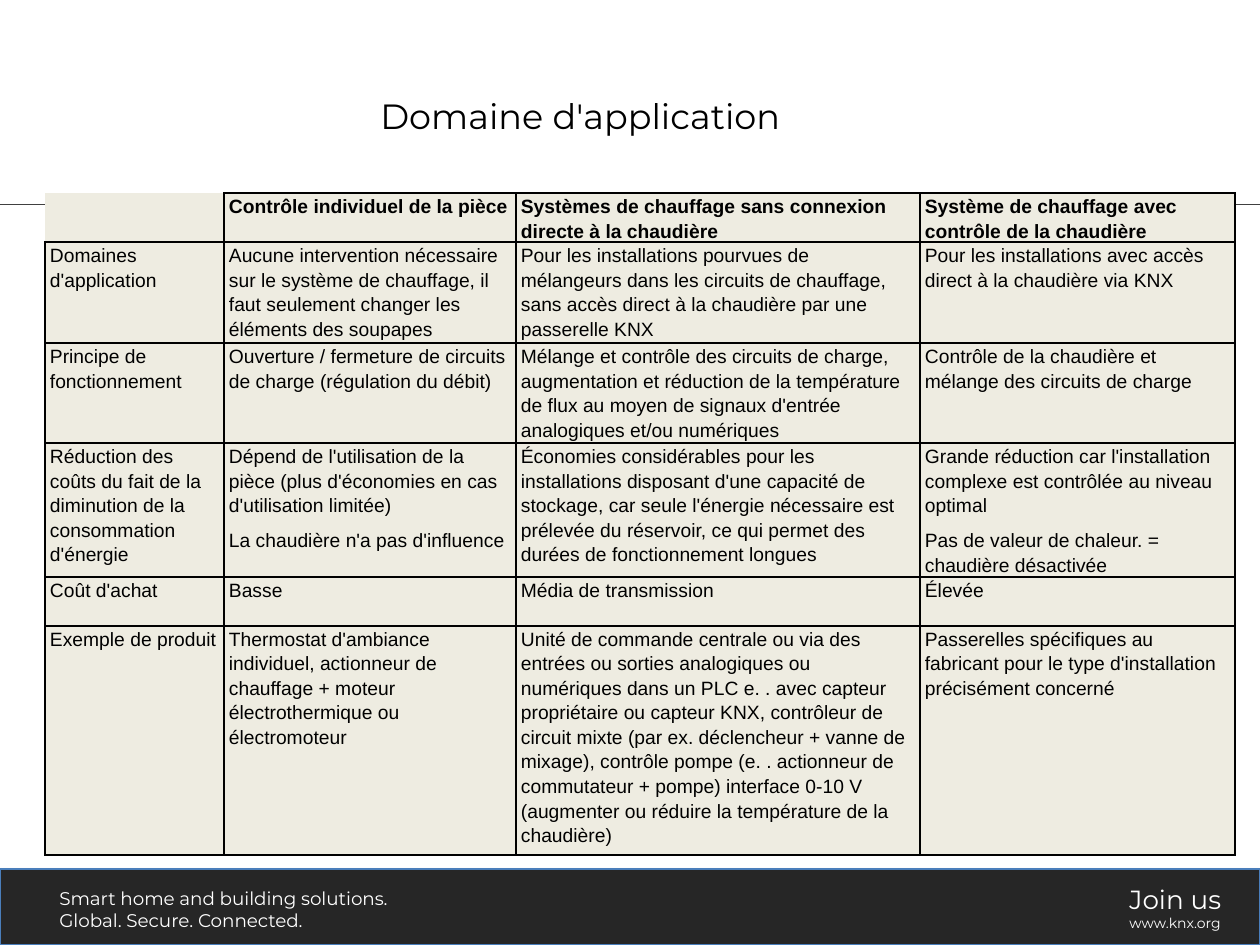
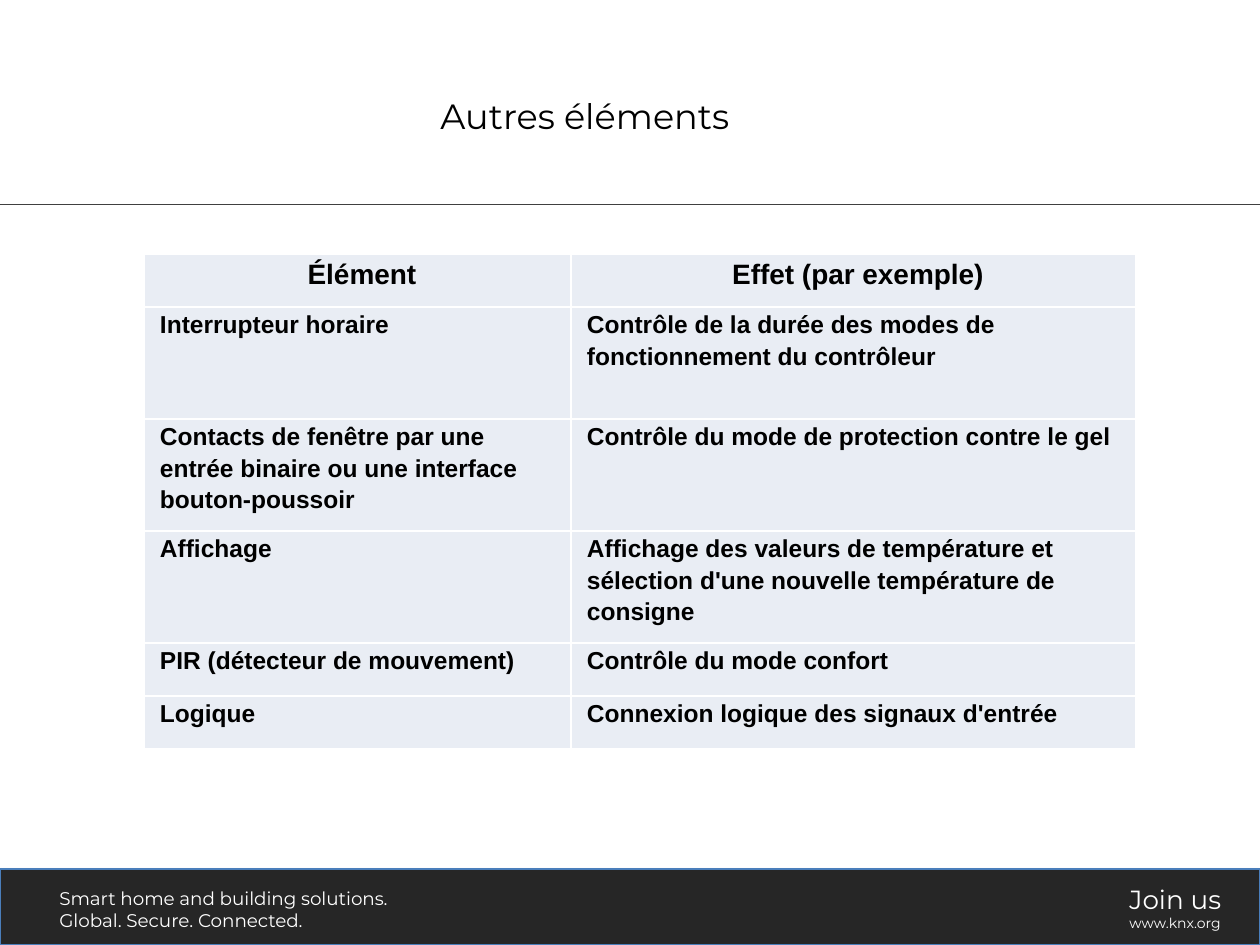
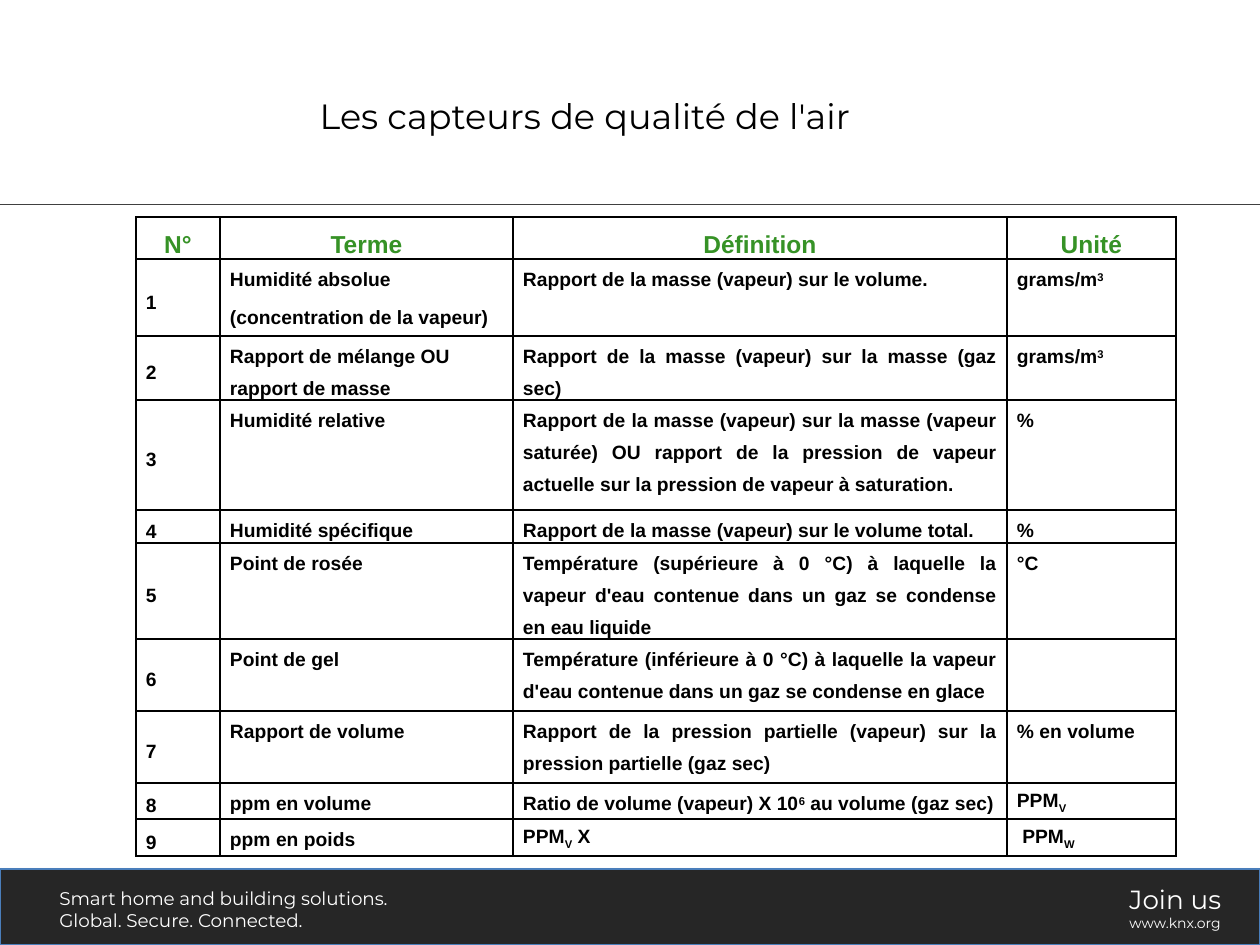
from dataclasses import dataclass
from typing import NamedTuple, Union

import pptx
import pptx.dml.color
import pptx.enum.shapes
import pptx.enum.text
import pptx.oxml
import pptx.oxml.ns
import pptx.util
from lxml import etree

RGBColor = pptx.dml.color.RGBColor
Align = pptx.enum.text.PP_ALIGN
Anchor = pptx.enum.text.MSO_ANCHOR
Pt = pptx.util.Pt
qn = pptx.oxml.ns.qn

PX_PER_INCH = 126
SLIDE_W, SLIDE_H = 1260, 945
BAND_TOP = 869
RULE_Y = 204

BLACK = RGBColor(0x00, 0x00, 0x00)
WHITE = RGBColor(0xFF, 0xFF, 0xFF)
CHARCOAL = RGBColor(0x26, 0x26, 0x26)
RULE_GREY = RGBColor(0x40, 0x40, 0x40)
BAND_EDGE = RGBColor(0x4A, 0x7E, 0xBB)
SHADOW_GREY = RGBColor(0x80, 0x80, 0x80)
SAND = RGBColor(0xEE, 0xEC, 0xE1)
PALE_BLUE = RGBColor(0xE9, 0xED, 0xF4)
GREEN = RGBColor(0x36, 0x92, 0x26)

TITLE_FONT = "Montserrat"
TABLE_FONT = "Arial"


class Script(NamedTuple):
    text: str
    baseline: int


class TextStyle(NamedTuple):
    size: float
    bold: bool = False
    color: RGBColor = BLACK
    font: str = TABLE_FONT


class FooterNote(NamedTuple):
    x: int
    y: int
    w: int
    h: int
    lines: tuple[str, ...]
    sizes: tuple[float, ...]


Content = Union[str, tuple[Union[str, Script], ...]]


@dataclass
class TableSlide:
    title: str
    x: int
    y: int
    cols: list[int]
    heights: list[int]
    rows: list[list[Content]]
    header: TextStyle
    body: TextStyle
    header_align: Align
    body_aligns: list[Align]
    header_pitch: float
    body_pitch: float
    gap: int
    margin_left: int
    margin_right: int
    border: RGBColor
    fill: Union[RGBColor, None] = None
    middle_first_col: bool = False
    open_corner: bool = False


CUBED = Script("3", 30000)
SIXTH = Script("6", 30000)
SUB_V = Script("V", -25000)
SUB_W = Script("W", -25000)

FOOTER_NOTES = [
    FooterNote(47, 881, 369, 57,
               ("Smart home and building solutions.", "Global. Secure. Connected."), (10.5, 10.5)),
    FooterNote(1117, 877, 119, 64, ("Join us", "www.knx.org"), (15, 8)),
]

SLIDES = [
    TableSlide(
        title="Domaine d'application ",
        x=45, y=193,
        cols=[179, 292, 404, 315],
        heights=[49, 101, 100, 134, 49, 229],
        rows=[
            ["", "Contrôle individuel de la pièce",
             "Systèmes de chauffage sans connexion directe à la chaudière",
             "Système de chauffage avec contrôle de la chaudière"],
            ["Domaines d'application",
             "Aucune intervention nécessaire sur le système de chauffage, il faut seulement "
             "changer les éléments des soupapes",
             "Pour les installations pourvues de mélangeurs dans les circuits de chauffage, "
             "sans accès direct à la chaudière par une passerelle KNX",
             "Pour les installations avec accès direct à la chaudière via KNX"],
            ["Principe de fonctionnement",
             "Ouverture / fermeture de circuits de charge (régulation du débit)",
             "Mélange et contrôle des circuits de charge, augmentation et réduction de la "
             "température de flux au moyen de signaux d'entrée analogiques et/ou numériques",
             "Contrôle de la chaudière et mélange des circuits de charge"],
            ["Réduction des coûts du fait de la diminution de la consommation d'énergie",
             "Dépend de l'utilisation de la pièce (plus d'économies en cas d'utilisation limitée)\n"
             "La chaudière n'a pas d'influence",
             "Économies considérables pour les installations disposant d'une capacité de stockage, "
             "car seule l'énergie nécessaire est prélevée du réservoir, ce qui permet des durées "
             "de fonctionnement longues",
             "Grande réduction car l'installation complexe est contrôlée au niveau optimal\n"
             "Pas de valeur de chaleur. = chaudière désactivée"],
            ["Coût d'achat", "Basse", "Média de transmission", "Élevée"],
            ["Exemple de produit",
             "Thermostat d'ambiance individuel, actionneur de chauffage + moteur "
             "électrothermique ou électromoteur",
             "Unité de commande centrale ou via des entrées ou sorties analogiques ou numériques "
             "dans un PLC e. . avec capteur propriétaire ou capteur KNX, contrôleur de circuit "
             "mixte (par ex. déclencheur + vanne de mixage), contrôle pompe (e. . actionneur de "
             "commutateur + pompe) interface 0-10 V (augmenter ou réduire la température de la "
             "chaudière)",
             "Passerelles spécifiques au fabricant pour le type d'installation précisément concerné"],
        ],
        header=TextStyle(11, bold=True),
        body=TextStyle(11),
        header_align=Align.LEFT,
        body_aligns=[Align.LEFT] * 4,
        header_pitch=14, body_pitch=14, gap=6,
        margin_left=5, margin_right=5,
        border=BLACK, fill=SAND, open_corner=True,
    ),
    TableSlide(
        title="Autres éléments",
        x=144, y=254,
        cols=[427, 565],
        heights=[53, 112, 112, 112, 53, 53],
        rows=[
            ["Élément", "Effet (par exemple)"],
            ["Interrupteur horaire",
             "Contrôle de la durée des modes de fonctionnement du contrôleur"],
            ["Contacts de fenêtre par une entrée binaire ou une interface bouton-poussoir",
             "Contrôle du mode de protection contre le gel"],
            ["Affichage",
             "Affichage des valeurs de température et sélection d'une nouvelle température "
             "de consigne"],
            ["PIR (détecteur de mouvement)", "Contrôle du mode confort"],
            ["Logique", "Connexion logique des signaux d'entrée"],
        ],
        header=TextStyle(16, bold=True),
        body=TextStyle(14, bold=True),
        header_align=Align.CENTER,
        body_aligns=[Align.LEFT] * 2,
        header_pitch=20.75, body_pitch=18.1, gap=6,
        margin_left=16, margin_right=7,
        border=WHITE, fill=PALE_BLUE,
    ),
    TableSlide(
        title="Les capteurs de qualité de l'air",
        x=136, y=217,
        cols=[84, 293, 494, 169],
        heights=[42, 77, 64, 110, 33, 96, 72, 72, 36, 37],
        rows=[
            ["N°", "Terme", "Définition", "Unité"],
            ["1", "Humidité absolue\n(concentration de la vapeur)",
             "Rapport de la masse (vapeur) sur le volume.", ("grams/m", CUBED)],
            ["2", "Rapport de mélange OU rapport de masse",
             "Rapport de la masse (vapeur) sur la masse (gaz sec)", ("grams/m", CUBED)],
            ["3", "Humidité relative",
             "Rapport de la masse (vapeur) sur la masse (vapeur saturée) OU rapport de la "
             "pression de vapeur actuelle sur la pression de vapeur à saturation.", "%"],
            ["4", "Humidité spécifique",
             "Rapport de la masse (vapeur) sur le volume total.", "%"],
            ["5", "Point de rosée",
             "Température (supérieure à 0 °C) à laquelle la vapeur d'eau contenue dans un gaz "
             "se condense en eau liquide", "°C"],
            ["6", "Point de gel",
             "Température (inférieure à 0 °C) à laquelle la vapeur d'eau contenue dans un gaz "
             "se condense en glace", ""],
            ["7", "Rapport de volume",
             "Rapport de la pression partielle (vapeur) sur la pression partielle (gaz sec)",
             "% en volume"],
            ["8", "ppm en volume",
             ("Ratio de volume (vapeur) X 10", SIXTH, " au volume (gaz sec)"), ("PPM", SUB_V)],
            ["9", "ppm en poids", ("PPM", SUB_V, " X"), (" PPM", SUB_W)],
        ],
        header=TextStyle(14, bold=True, color=GREEN),
        body=TextStyle(11, bold=True),
        header_align=Align.CENTER,
        body_aligns=[Align.LEFT, Align.LEFT, Align.JUSTIFY, Align.JUSTIFY],
        header_pitch=23.75, body_pitch=18.25, gap=3,
        margin_left=10, margin_right=10,
        border=BLACK, middle_first_col=True,
    ),
]


def px(n: int) -> int:
    return round(n * pptx.util.Inches(1) / PX_PER_INCH)


def box(x: int, y: int, w: int, h: int) -> tuple[int, int, int, int]:
    return px(x), px(y), px(w), px(h)


def style_runs(p, style: TextStyle) -> None:
    for r in p.runs:
        r.font.name = style.font
        r.font.size = Pt(style.size)
        r.font.bold = style.bold
        r.font.color.rgb = style.color


def add_band(s) -> None:
    sp = s.shapes.add_shape(pptx.enum.shapes.MSO_SHAPE.RECTANGLE,
                            *box(0, BAND_TOP, SLIDE_W, SLIDE_H - BAND_TOP))
    sp.shadow.inherit = False
    sp.fill.solid()
    sp.fill.fore_color.rgb = CHARCOAL
    sp.line.color.rgb = BAND_EDGE
    sp.line.width = Pt(0.75)
    effects = sp._element.spPr.find(qn("a:effectLst"))
    shadow = etree.SubElement(effects, qn("a:outerShdw"), blurRad=str(Pt(3.1)),
                              dist=str(Pt(1.8)), dir="5400000", rotWithShape="0")
    clr = etree.SubElement(shadow, qn("a:srgbClr"), val=str(SHADOW_GREY))
    etree.SubElement(clr, qn("a:alpha"), val="35000")


def add_rule(s) -> None:
    rule = s.shapes.add_connector(pptx.enum.shapes.MSO_CONNECTOR.STRAIGHT,
                                  0, px(RULE_Y), px(SLIDE_W), px(RULE_Y))
    rule.line.color.rgb = RULE_GREY
    rule.line.width = Pt(0.5)
    etree.SubElement(rule._element.spPr, qn("a:effectLst"))


def add_footer_note(s, note: FooterNote) -> None:
    tf = s.shapes.add_textbox(*box(note.x, note.y, note.w, note.h)).text_frame
    tf.word_wrap = False
    tf.auto_size = pptx.enum.text.MSO_AUTO_SIZE.SHAPE_TO_FIT_TEXT
    tf.text = "\n".join(note.lines)
    for p, size in zip(tf.paragraphs, note.sizes):
        style_runs(p, TextStyle(size, color=WHITE, font=TITLE_FONT))


def set_title(s, text: str) -> None:
    title = s.shapes.title
    title.left, title.top, title.width, title.height = box(124, 66, 922, 99)
    tf = title.text_frame
    tf.text = text
    tf.word_wrap = True
    tf.auto_size = pptx.enum.text.MSO_AUTO_SIZE.NONE
    tf.vertical_anchor = Anchor.MIDDLE
    p = tf.paragraphs[0]
    p.alignment = Align.CENTER
    style_runs(p, TextStyle(20, font=TITLE_FONT))


def set_borders(cell, color: RGBColor, open_sides: str) -> None:
    tcPr = cell._tc.get_or_add_tcPr()
    for i, side in enumerate("LRTB"):
        ln = etree.Element(qn(f"a:ln{side}"), w=str(Pt(1)))
        if side in open_sides:
            etree.SubElement(ln, qn("a:noFill"))
        else:
            fill = etree.SubElement(ln, qn("a:solidFill"))
            etree.SubElement(fill, qn("a:srgbClr"), val=str(color))
        tcPr.insert(i, ln)


def write_content(tf, content: Content) -> None:
    if isinstance(content, str):
        tf.text = content
        return
    p = tf.paragraphs[0]
    for part in content:
        r = p.add_run()
        if isinstance(part, Script):
            r.text = part.text
            r._r.get_or_add_rPr().set("baseline", str(part.baseline))
        else:
            r.text = part


def fill_cell(cell, t: TableSlide, row: int, col: int) -> None:
    cell.margin_left, cell.margin_right = px(t.margin_left), px(t.margin_right)
    cell.margin_top = cell.margin_bottom = 0
    middle = t.middle_first_col and col == 0 and row > 0
    cell.vertical_anchor = Anchor.MIDDLE if middle else Anchor.TOP
    if t.fill is None:
        cell.fill.background()
    else:
        cell.fill.solid()
        cell.fill.fore_color.rgb = t.fill
    set_borders(cell, t.border, "LT" if t.open_corner and row == col == 0 else "")
    write_content(cell.text_frame, t.rows[row][col])
    for i, p in enumerate(cell.text_frame.paragraphs):
        p.alignment = t.header_align if row == 0 else t.body_aligns[col]
        p.line_spacing = Pt(t.header_pitch if row == 0 else t.body_pitch)
        if i:
            p.space_before = Pt(t.gap)
        style_runs(p, t.header if row == 0 else t.body)


def add_grid(s, t: TableSlide) -> None:
    frame = s.shapes.add_table(len(t.heights), len(t.cols),
                               *box(t.x, t.y, sum(t.cols), sum(t.heights)))
    table = frame.table
    table.first_row = table.horz_banding = False
    for column, width in zip(table.columns, t.cols):
        column.width = px(width)
    for row, height in enumerate(t.heights):
        table.rows[row].height = px(height)
        for col in range(len(t.cols)):
            fill_cell(table.cell(row, col), t, row, col)


def main() -> None:
    prs = pptx.Presentation()
    prs.slide_width, prs.slide_height = px(SLIDE_W), px(SLIDE_H)
    title_only = prs.slide_layouts[5]
    for t in SLIDES:
        s = prs.slides.add_slide(title_only)
        add_band(s)
        add_rule(s)
        for note in FOOTER_NOTES:
            add_footer_note(s, note)
        set_title(s, t.title)
        add_grid(s, t)
    prs.save("out.pptx")


if __name__ == "__main__":
    main()
